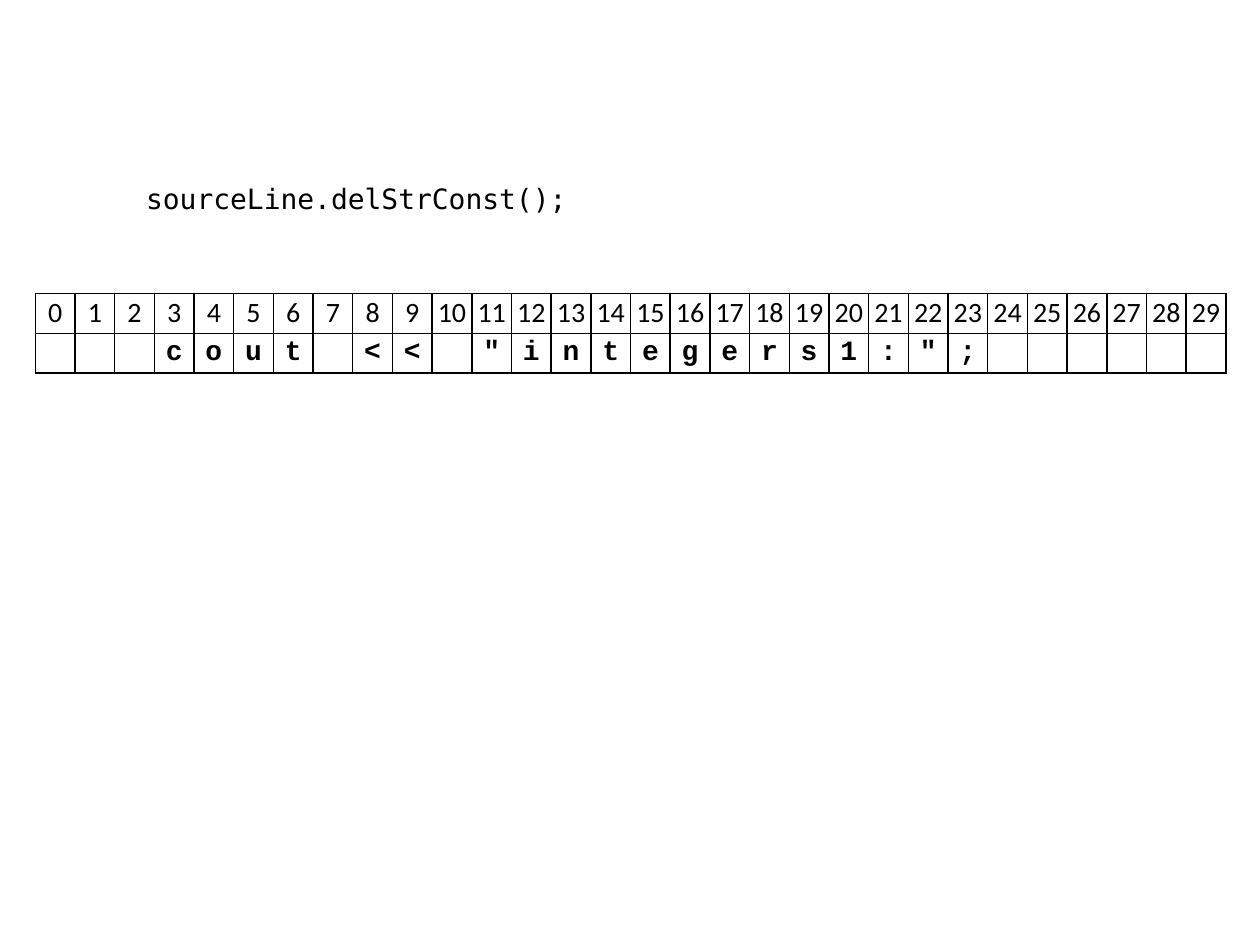
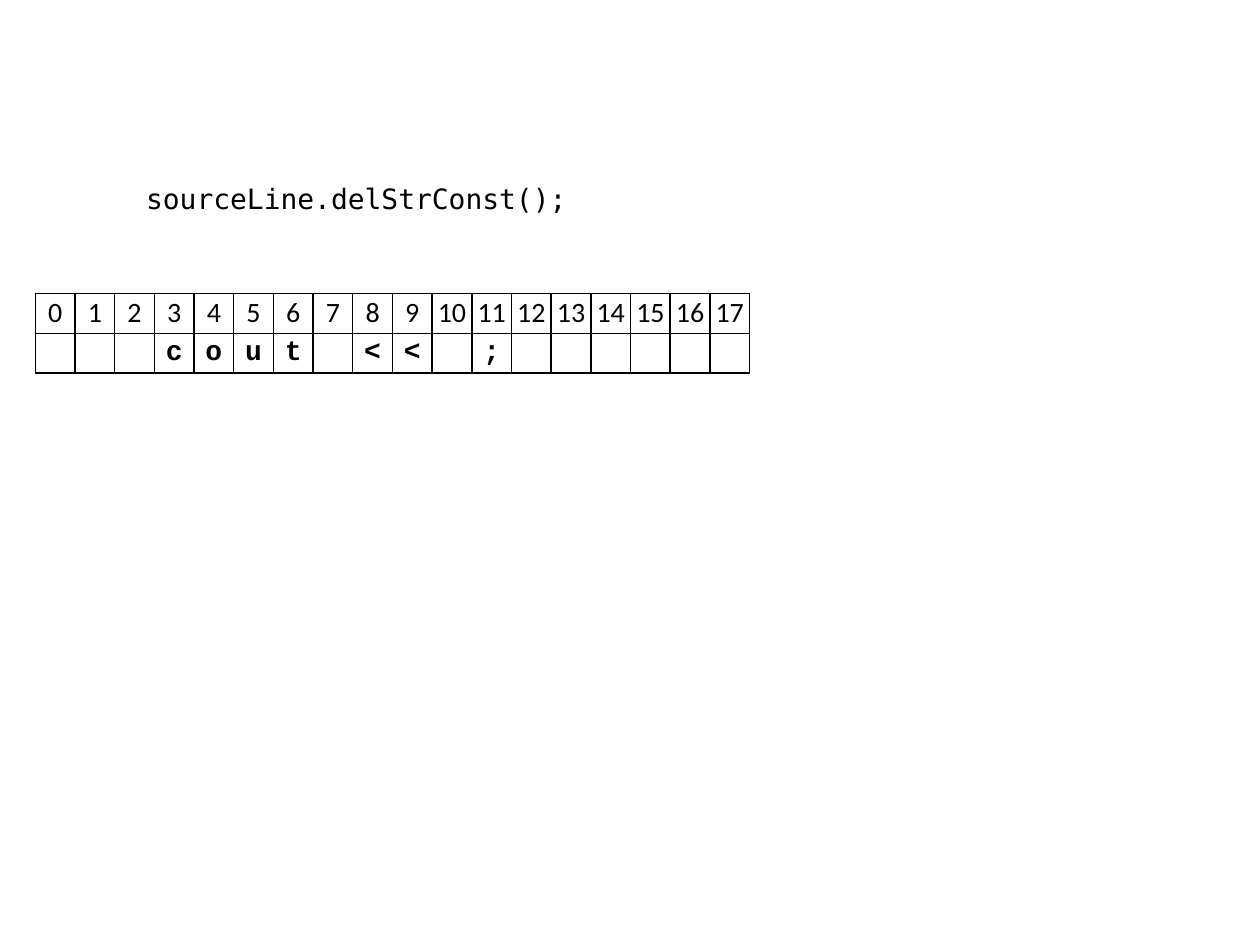
from lxml import etree
from pptx import Presentation
from pptx.dml.color import RGBColor
from pptx.enum.text import MSO_ANCHOR, MSO_AUTO_SIZE, PP_ALIGN
from pptx.oxml.ns import qn
from pptx.util import Inches, Pt

LEFT, CENTER = PP_ALIGN.LEFT, PP_ALIGN.CENTER
TOP, MIDDLE = MSO_ANCHOR.TOP, MSO_ANCHOR.MIDDLE
FIXED = MSO_AUTO_SIZE.NONE
TITLE_ONLY = 5

# Shared look
INK = "000000"
CELL = 0.63 / 2  # side of one square cell
CODE = {"name": "DejaVu Sans Mono", "size": Pt(16), "bold": False}
INDEX = {"name": "Calibri", "size": Pt(16), "bold": False}
CHAR = {"name": "Courier New", "size": Pt(16), "bold": True}
NO_INSET = {"margin_left": 0, "margin_right": 0, "margin_top": 0,
            "margin_bottom": 0, "vertical_anchor": MIDDLE}

# Text held in the line before and after the call, with its buffer size
CALL = "sourceLine.delStrConst();"
STATES = [('   cout << "integers1:";', 30), ("   cout << ;", 18)]


def color(code):
    return RGBColor.from_string(code)


def apply(obj, values):
    for name, value in values.items():
        setattr(obj, name, value)


def write(frame, text, font, align):
    para = frame.paragraphs[0]
    para.alignment = align
    run = para.add_run()
    run.text = text
    apply(run.font, font)
    run.font.color.rgb = color(INK)


def add_title(slide, text):
    title = slide.shapes.title
    apply(title, {"left": Inches(1.06), "top": Inches(1.39),
                  "width": Inches(3.62), "height": Inches(0.32)})
    apply(title.text_frame, {"vertical_anchor": TOP, "word_wrap": True,
                             "auto_size": FIXED})
    write(title.text_frame, text, CODE, LEFT)


def add_border(cell):
    props = cell._tc.get_or_add_tcPr()
    for place, side in enumerate(("lnL", "lnR", "lnT", "lnB")):
        line = etree.Element(qn("a:" + side), w=str(Pt(1)))
        fill = etree.SubElement(line, qn("a:solidFill"))
        etree.SubElement(fill, qn("a:srgbClr"), val=INK)
        props.insert(place, line)


def add_buffer(slide, text, size):
    """Draw a row of indices above the characters they address."""
    frame = slide.shapes.add_table(2, size, Inches(0.28), Inches(2.33),
                                   Inches(CELL * size), Inches(CELL * 2))
    table = frame.table
    apply(table, {"first_row": False, "horz_banding": False})
    for row in table.rows:
        row.height = Inches(CELL)
    for col in table.columns:
        col.width = Inches(CELL)
    for cell in table.iter_cells():
        apply(cell, NO_INSET)
        cell.fill.background()
        add_border(cell)
    for pos, char in enumerate(text.ljust(size)):
        write(table.cell(0, pos).text_frame, str(pos), INDEX, CENTER)
        if char != " ":
            write(table.cell(1, pos).text_frame, char, CHAR, CENTER)


def main():
    deck = Presentation()
    apply(deck, {"slide_width": Inches(10), "slide_height": Inches(7.5)})
    for text, size in STATES:
        slide = deck.slides.add_slide(deck.slide_layouts[TITLE_ONLY])
        add_title(slide, CALL)
        add_buffer(slide, text, size)
    deck.save("out.pptx")


main()
